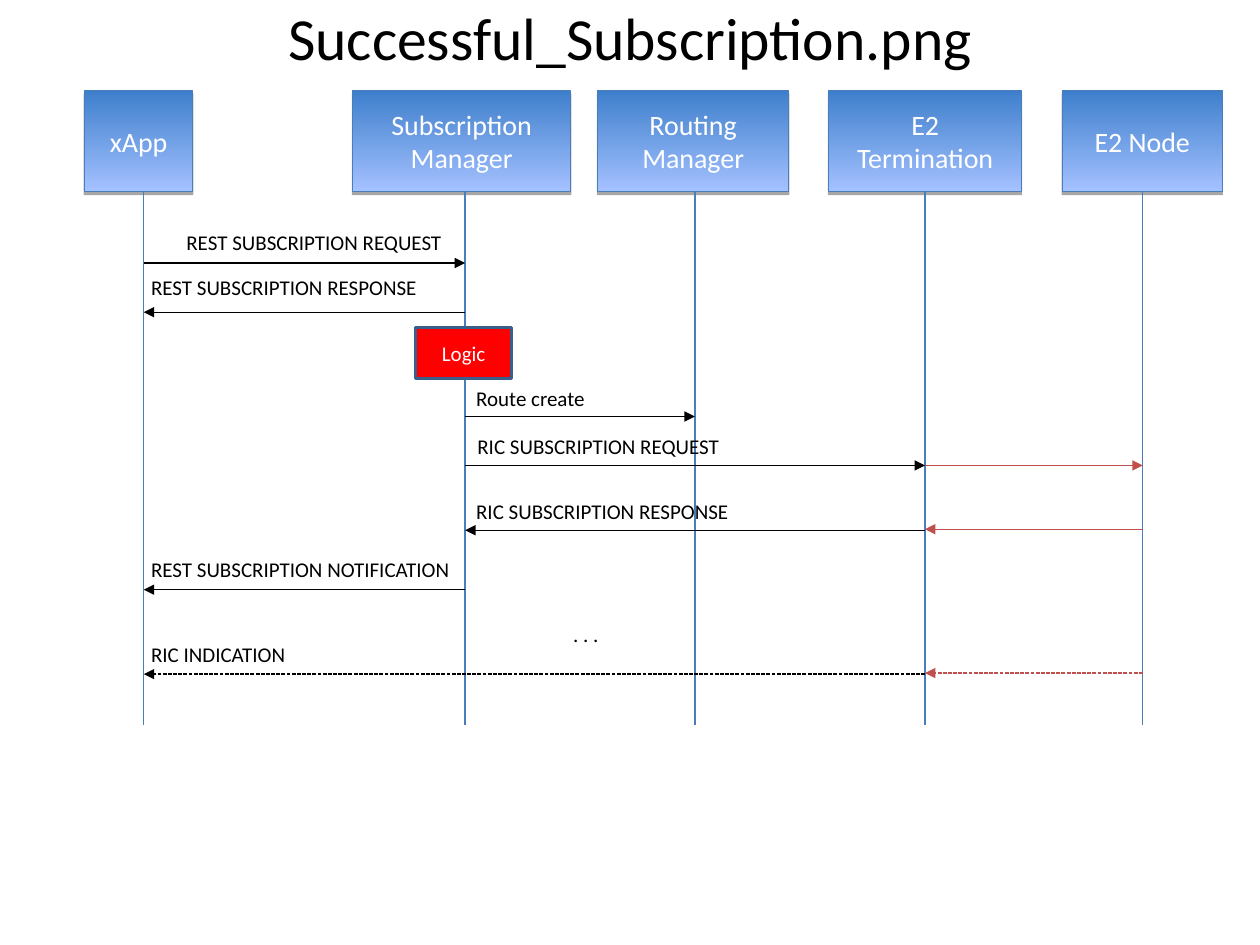
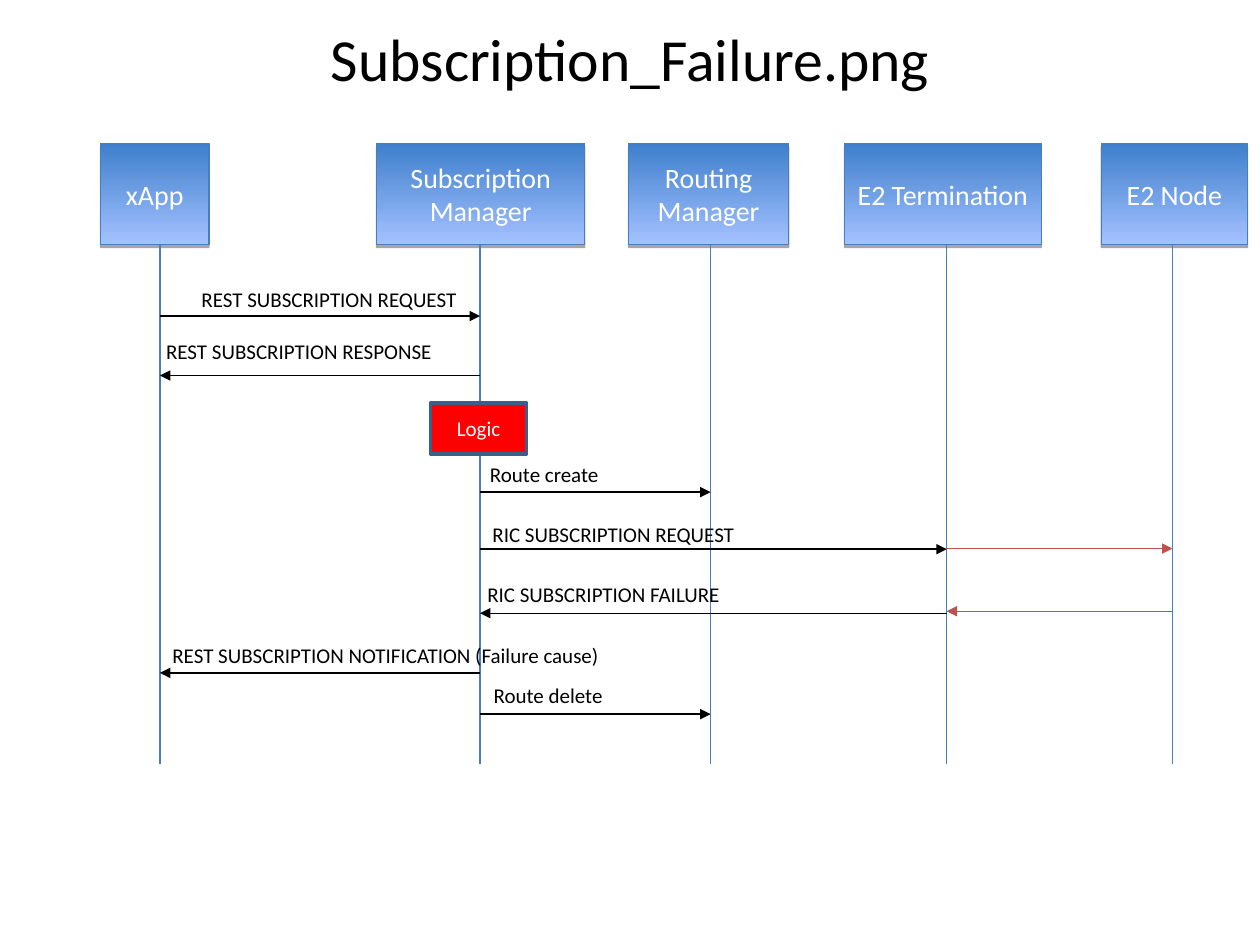
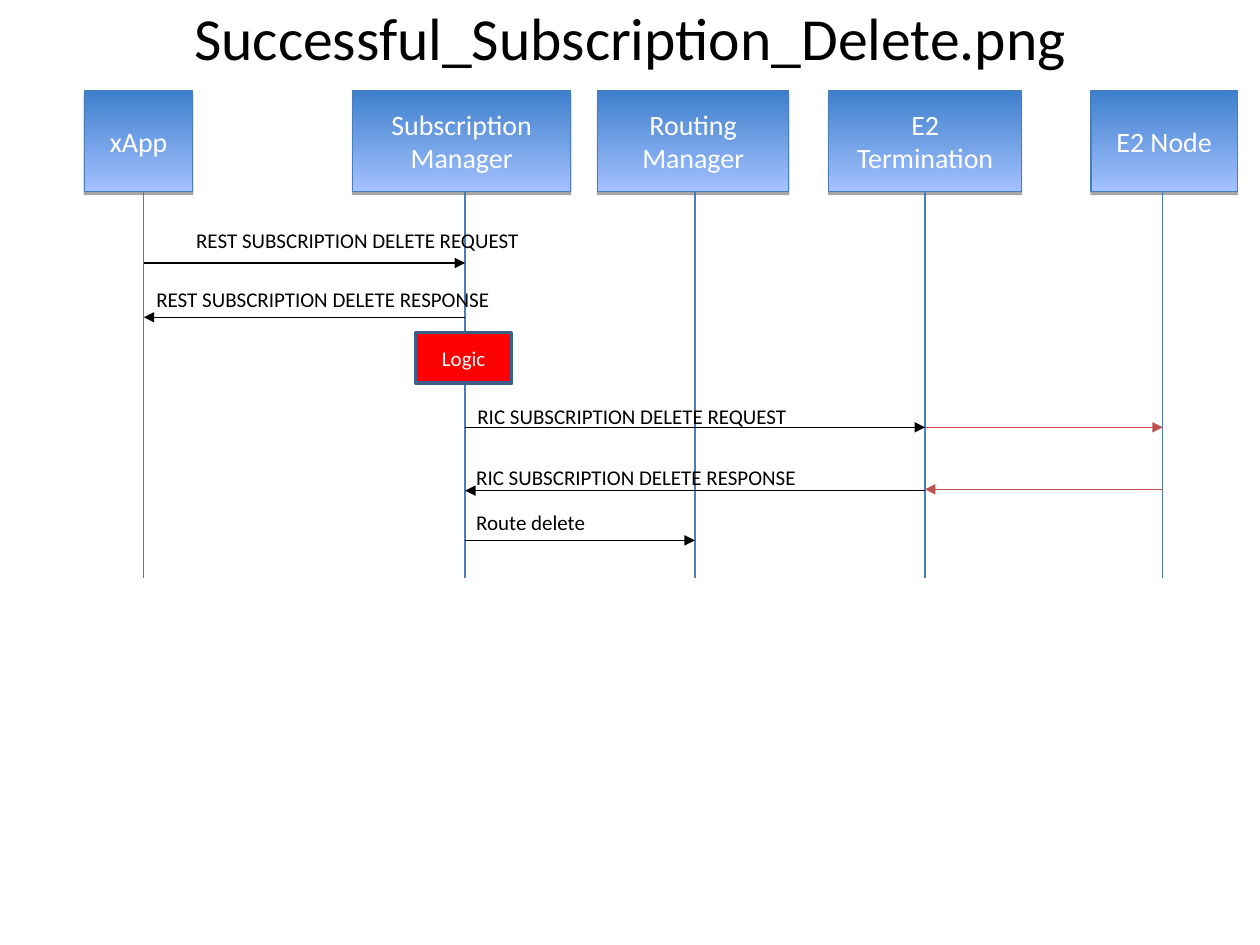
from lxml import etree
from pptx import Presentation
from pptx.dml.color import RGBColor
from pptx.enum.dml import MSO_LINE
from pptx.enum.shapes import MSO_CONNECTOR, MSO_SHAPE
from pptx.enum.text import MSO_ANCHOR, MSO_AUTO_SIZE, PP_ALIGN
from pptx.oxml import parse_xml
from pptx.oxml.ns import nsdecls, qn
from pptx.util import Pt

RECT, LINE = MSO_SHAPE.RECTANGLE, MSO_CONNECTOR.STRAIGHT
LEFT, CENTER = PP_ALIGN.LEFT, PP_ALIGN.CENTER
TOP, MIDDLE = MSO_ANCHOR.TOP, MSO_ANCHOR.MIDDLE
DASH = MSO_LINE.SQUARE_DOT

BLACK = RGBColor(0x00, 0x00, 0x00)
WHITE = RGBColor(0xFF, 0xFF, 0xFF)
SKY = RGBColor(0x3E, 0x7F, 0xCC)
PALE = RGBColor(0xA4, 0xC1, 0xFF)
BLUE = RGBColor(0x4A, 0x7E, 0xBB)
NAVY = RGBColor(0x3A, 0x5F, 0x8B)
RED = RGBColor(0xFF, 0x00, 0x00)
BRICK = RGBColor(0xC0, 0x50, 0x4D)

FONT = "Calibri"
HEAD = 57.6  # height of an actor box
SHADOW = (f'<a:effectLst {nsdecls("a")}><a:outerShdw blurRad="0" dist="22860" dir="5400000" '
          'rotWithShape="0"><a:srgbClr val="000000"><a:alpha val="35000"/></a:srgbClr>'
          '</a:outerShdw></a:effectLst>')

APP, SUB, ROUTE, TERM, NODE = range(5)
NAMES = ["xApp", "Subscription Manager", "Routing\nManager", "E2 Termination", "E2 Node"]

# Actor lanes: box left, box width, lifeline x
MAIN = [(48.2, 62, 82.2), (201.4, 124.8, 265.8), (341.4, 109.4, 397.1),
        (473.5, 110.3, 528.6), (607, 91.5, 653)]
WIDE = [(57.4, 62, 91.4), (215.2, 119, 274.3), (359.2, 91.5, 406.1),
        (482.5, 112.5, 541), (629.3, 83.6, 670)]
LATE = MAIN[:NODE] + [(623.5, 83.5, 664.4)]

# Each flow has arrows (from, to, y) and labels (text, left, top, width)
FLOWS = [
    dict(title="Successful_Subscription.png", rise=3.6, lanes=MAIN, top=51.8, foot=414,
         logic=187.2, dashed=[
             (TERM, APP, 385.2), (NODE, TERM, 384.6)],
         arrows=[
             (APP, SUB, 150.3), (SUB, APP, 178.4), (SUB, ROUTE, 238),
             (SUB, TERM, 266), (TERM, NODE, 266), (TERM, SUB, 303),
             (NODE, TERM, 302.4), (SUB, APP, 337)],
         labels=[
             ("REST SUBSCRIPTION REQUEST", 99.4, 127.4, 165),
             ("REST SUBSCRIPTION RESPONSE", 79.2, 153.5, 209.5),
             ("Route create", 265, 217, 106.5),
             ("RIC SUBSCRIPTION REQUEST", 265.7, 244, 189.5),
             ("RIC SUBSCRIPTION RESPONSE", 265, 281.6, 197.3),
             ("REST SUBSCRIPTION NOTIFICATION", 79.2, 314.7, 226.8),
             (". . .", 320.4, 351.6, 39.6),
             ("RIC INDICATION", 79.2, 363, 226.8)]),
    dict(title="Subscription_Failure.png", rise=15.8, lanes=WIDE, top=82, foot=436.4,
         logic=230.4, dashed=[], arrows=[
             (APP, SUB, 180.6), (SUB, APP, 214.6), (SUB, ROUTE, 281.2),
             (SUB, TERM, 313.8), (TERM, NODE, 313.5), (TERM, SUB, 350.4),
             (NODE, TERM, 349.3), (SUB, APP, 384.5), (SUB, ROUTE, 408.1)],
         labels=[
             ("REST SUBSCRIPTION REQUEST", 108, 160, 165),
             ("REST SUBSCRIPTION RESPONSE", 87.8, 190, 209.5),
             ("Route create", 272.9, 260, 95.8),
             ("RIC SUBSCRIPTION REQUEST", 274.3, 294.5, 190.8),
             ("RIC SUBSCRIPTION FAILURE", 271.4, 328.5, 182.2),
             ("REST SUBSCRIPTION NOTIFICATION (Failure cause)", 91.4, 363.8, 322.6),
             ("Route delete", 275, 386.7, 99.4)]),
    dict(title="Successful_Subscription_Delete.png", rise=3.6, lanes=LATE, top=51.8, foot=330.4,
         logic=190, dashed=[], arrows=[
             (APP, SUB, 150.3), (SUB, APP, 181.3), (SUB, TERM, 244.2),
             (TERM, NODE, 244.2), (TERM, SUB, 280.4), (NODE, TERM, 279.6),
             (SUB, ROUTE, 308.8)],
         labels=[
             ("REST SUBSCRIPTION DELETE REQUEST", 105, 126.7, 202),
             ("REST SUBSCRIPTION DELETE RESPONSE", 82.2, 160, 260.6),
             ("RIC SUBSCRIPTION DELETE REQUEST", 265.7, 226.8, 238.3),
             ("RIC SUBSCRIPTION DELETE RESPONSE", 265, 261.7, 245.5),
             ("Route delete", 265, 287.5, 106.5)]),
]


def place(shape, left, top, width, height):
    shape.left, shape.top = Pt(left), Pt(top)
    shape.width, shape.height = Pt(width), Pt(height)


def write(shape, text, size=12, color=BLACK, align=LEFT, anchor=TOP, space=None):
    frame = shape.text_frame
    frame.word_wrap = True
    frame.auto_size = MSO_AUTO_SIZE.NONE
    frame.vertical_anchor = anchor
    frame.text = text
    for para in frame.paragraphs:
        para.alignment, para.line_spacing = align, space
        para.font.name, para.font.size = FONT, Pt(size)
        para.font.color.rgb = color


def stroke(shape, color, width=0.75):
    shape.line.color.rgb, shape.line.width = color, Pt(width)


def link(slide, start, end, color):
    line = slide.shapes.add_connector(LINE, *map(Pt, (*start, *end)))
    stroke(line, color)
    etree.SubElement(line._element.spPr, qn("a:effectLst"))
    return line


def actor(slide, name, left, top, width):
    box = slide.shapes.add_shape(RECT, *map(Pt, (left, top, width, HEAD)))
    box.fill.gradient()
    box.fill.gradient_angle = 270
    for stop, color in zip(box.fill.gradient_stops, (SKY, PALE)):
        stop.color.rgb = color
    stroke(box, BLUE)
    box._element.spPr.append(parse_xml(SHADOW))
    write(box, name, size=16, color=WHITE, align=CENTER, anchor=MIDDLE)


def arrow(slide, lanes, src, dst, y, dash=None):
    """Draw a message between two lifelines; those of the E2 Node are red."""
    color = BRICK if NODE in (src, dst) else BLACK
    line = link(slide, (lanes[src][2], y), (lanes[dst][2], y), color)
    line.line.dash_style = dash
    etree.SubElement(line.line._get_or_add_ln(), qn("a:tailEnd"), type="triangle")


def label(slide, text, left, top, width):
    write(slide.shapes.add_textbox(*map(Pt, (left, top, width, 21.8))), text)


def logic(slide, mid, top):
    box = slide.shapes.add_shape(RECT, *map(Pt, (mid - 28.3, top, 55, 29)))
    box.shadow.inherit = False
    box.fill.solid()
    box.fill.fore_color.rgb = RED
    stroke(box, NAVY, 2)
    write(box, "Logic", color=WHITE, align=CENTER, anchor=MIDDLE)


def draw(deck, flow):
    slide = deck.slides.add_slide(deck.slide_layouts[5])
    lanes, top = flow["lanes"], flow["top"]
    title = slide.shapes.title
    place(title, 36, flow["rise"], 648, 42)
    write(title, flow["title"], size=34.1, align=CENTER, anchor=MIDDLE, space=0.8)
    for name, (left, width, x) in zip(NAMES, lanes):
        actor(slide, name, left, top, width)
        link(slide, (x, top + HEAD), (x, flow["foot"]), BLUE)
    for step in flow["arrows"]:
        arrow(slide, lanes, *step)
    for step in flow["dashed"]:
        arrow(slide, lanes, *step, dash=DASH)
    logic(slide, lanes[SUB][2], flow["logic"])
    for item in flow["labels"]:
        label(slide, *item)


def main():
    deck = Presentation()
    deck.slide_width, deck.slide_height = Pt(720), Pt(540)
    for flow in FLOWS:
        draw(deck, flow)
    deck.save("out.pptx")


if __name__ == "__main__":
    main()
